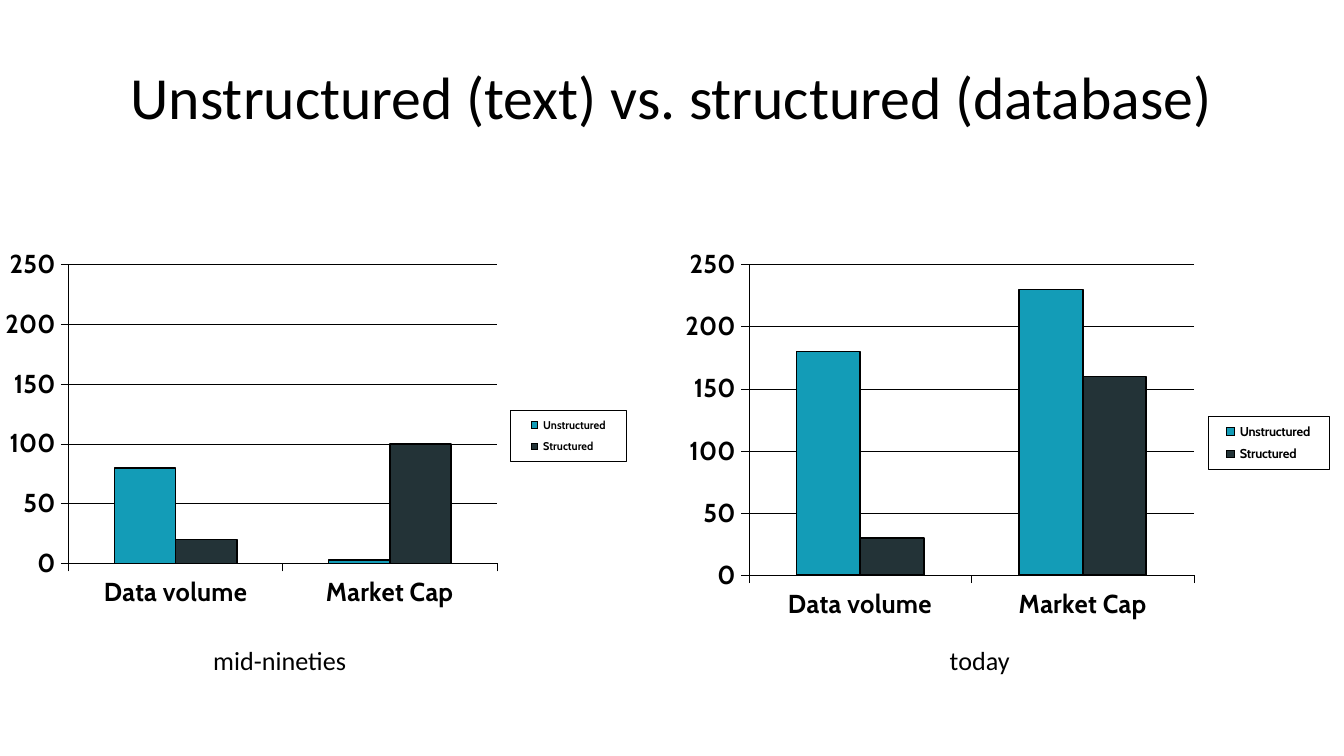
from typing import NamedTuple

from lxml.etree import fromstring
from pptx import Presentation
from pptx.chart.data import CategoryChartData
from pptx.dml.color import RGBColor
from pptx.enum.chart import XL_CHART_TYPE as ChartType
from pptx.enum.chart import XL_LEGEND_POSITION as LegendPos
from pptx.enum.chart import XL_TICK_LABEL_POSITION as LabelPos
from pptx.enum.chart import XL_TICK_MARK as TickMark
from pptx.enum.text import MSO_ANCHOR, MSO_AUTO_SIZE, PP_ALIGN
from pptx.oxml.ns import nsdecls, qn
from pptx.util import Cm, Pt

COLORS = {"text": "000000", "paper": "FFFFFF",
          "Unstructured": "139CB7", "Structured": "233337"}
CATEGORIES = ("Data volume", "Market Cap")
TOP, CAPTION_TOP = 4.7, 12.06  # cm
HAIRLINE, OUTLINE = 0.23, 0.92  # pt
PLOT_BOX = (0.079, 0.035, 0.699, 0.829)
LEGEND_BOX = (0.8, 0.44, 0.19, 0.14)


class Era(NamedTuple):
    caption: str
    caption_left: float
    caption_width: float
    left: float
    width: float
    height: float
    legend_size: float
    values: dict[str, tuple[int, int]]


ERAS = (
    Era("mid-nineties", 3.78, 3.05, 0.1, 11.86, 6.88, 6,
        {"Unstructured": (80, 3), "Structured": (20, 100)}),
    Era("today", 17.7, 1.68, 12.95, 12.29, 7.14, 7,
        {"Unstructured": (180, 230), "Structured": (30, 160)}),
)


def rgb(name: str) -> RGBColor:
    return RGBColor.from_string(COLORS[name])


def style_font(font, name: str, size: float, bold: bool = False) -> None:
    font.name, font.size, font.bold = name, Pt(size), bold
    font.color.rgb = rgb("text")


def style_line(line, width: float) -> None:
    line.color.rgb = rgb("text")
    line.width = Pt(width)


def manual_layout(box: tuple, inner: bool = False):
    """Return a chart layout element with fractions of the chart area."""
    target = '<c:layoutTarget val="inner"/>' if inner else ""
    modes = '<c:xMode val="edge"/><c:yMode val="edge"/>'
    sizes = "".join(f'<c:{k} val="{v}"/>' for k, v in zip("xywh", box))
    return fromstring(f'<c:layout {nsdecls("c")}><c:manualLayout>{target}{modes}'
                      f'{sizes}</c:manualLayout></c:layout>')


def drop_layout(parent) -> None:
    for old in parent.findall(qn("c:layout")):
        parent.remove(old)


def add_legend(chart, size: float) -> None:
    chart.has_legend = True
    legend = chart.legend
    legend.position = LegendPos.RIGHT
    legend.include_in_layout = False
    style_font(legend.font, "Cabin", size, True)
    # Place and frame: these need XML
    drop_layout(legend._element)
    overlay = legend._element.find(qn("c:overlay"))
    overlay.addprevious(manual_layout(LEGEND_BOX))
    fill, line = (f'<a:solidFill><a:srgbClr val="{COLORS[c]}"/></a:solidFill>'
                  for c in ("paper", "text"))
    overlay.addnext(fromstring(
        f'<c:spPr {nsdecls("c", "a")}>{fill}'
        f'<a:ln w="{int(Pt(HAIRLINE))}">{line}</a:ln></c:spPr>'))


def add_era_chart(slide, era: Era) -> None:
    data = CategoryChartData()
    data.categories = CATEGORIES
    for name, values in era.values.items():
        data.add_series(name, values)
    chart = slide.shapes.add_chart(
        ChartType.COLUMN_CLUSTERED, Cm(era.left), Cm(TOP),
        Cm(era.width), Cm(era.height), data).chart
    chart.has_title = False
    style_font(chart.font, "Cabin", 8.5, True)

    # Columns
    plot = chart.plots[0]
    plot.gap_width, plot.overlap, plot.vary_by_categories = 150, 0, False
    for series in plot.series:
        series.format.fill.solid()
        series.format.fill.fore_color.rgb = rgb(series.name)
        style_line(series.format.line, OUTLINE)

    # Axes
    for axis in (chart.category_axis, chart.value_axis):
        axis.major_tick_mark = TickMark.OUTSIDE
        axis.minor_tick_mark = TickMark.NONE
        style_line(axis.format.line, HAIRLINE)
        style_font(axis.tick_labels.font, "Cabin", 14, True)
    chart.category_axis.tick_label_position = LabelPos.LOW
    scale = chart.value_axis
    scale.minimum_scale, scale.maximum_scale, scale.major_unit = 0, 250, 50
    scale.has_major_gridlines = True
    style_line(scale.major_gridlines.format.line, HAIRLINE)

    # Plot area and legend
    area = chart._chartSpace.find(f'{qn("c:chart")}/{qn("c:plotArea")}')
    drop_layout(area)
    area.insert(0, manual_layout(PLOT_BOX, inner=True))
    add_legend(chart, era.legend_size)


def add_caption(slide, era: Era) -> None:
    tf = slide.shapes.add_textbox(Cm(era.caption_left), Cm(CAPTION_TOP),
                                  Cm(era.caption_width), Cm(0.86)).text_frame
    tf.word_wrap = False
    tf.auto_size = MSO_AUTO_SIZE.SHAPE_TO_FIT_TEXT
    tf.text = era.caption
    style_font(tf.paragraphs[0].runs[0].font, "Calibri", 14)


def add_title(slide, text: str) -> None:
    title = slide.shapes.title
    title.left, title.top, title.width, title.height = map(Cm, (1.27, 1.14, 22.86, 1.35))
    tf = title.text_frame
    tf.text = text
    tf.auto_size = MSO_AUTO_SIZE.NONE
    tf.vertical_anchor = MSO_ANCHOR.MIDDLE
    tf.margin_left = tf.margin_right = tf.margin_top = tf.margin_bottom = Cm(0.25)
    tf.paragraphs[0].alignment = PP_ALIGN.CENTER
    style_font(tf.paragraphs[0].runs[0].font, "Calibri", 32)


def main() -> None:
    prs = Presentation()
    prs.slide_width, prs.slide_height = Cm(25.4), Cm(14.29)
    slide = prs.slides.add_slide(prs.slide_layouts[5])
    add_title(slide, "Unstructured (text) vs. structured (database)")
    for era in ERAS:
        add_era_chart(slide, era)
    for era in ERAS:
        add_caption(slide, era)
    prs.save("out.pptx")


if __name__ == "__main__":
    main()
